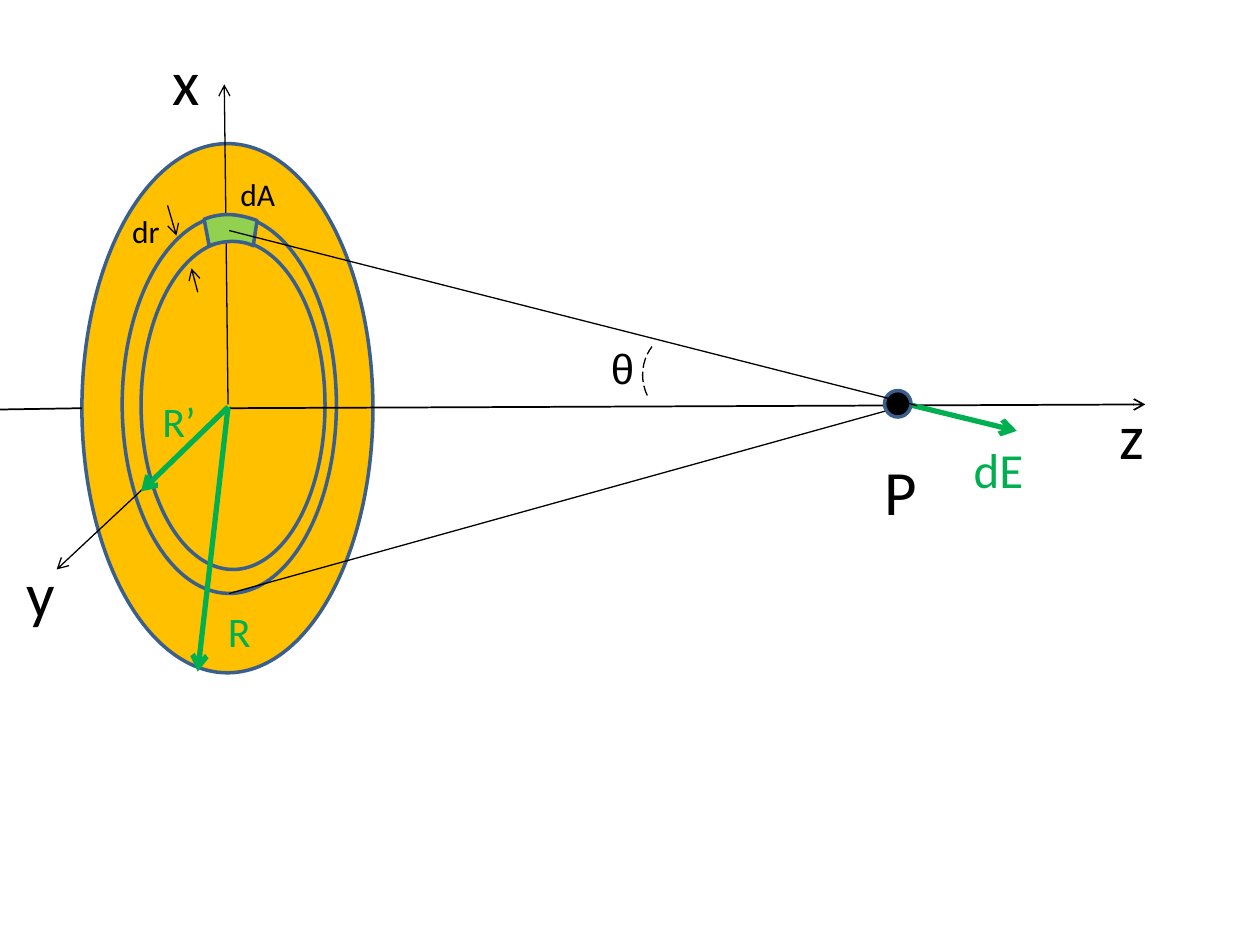
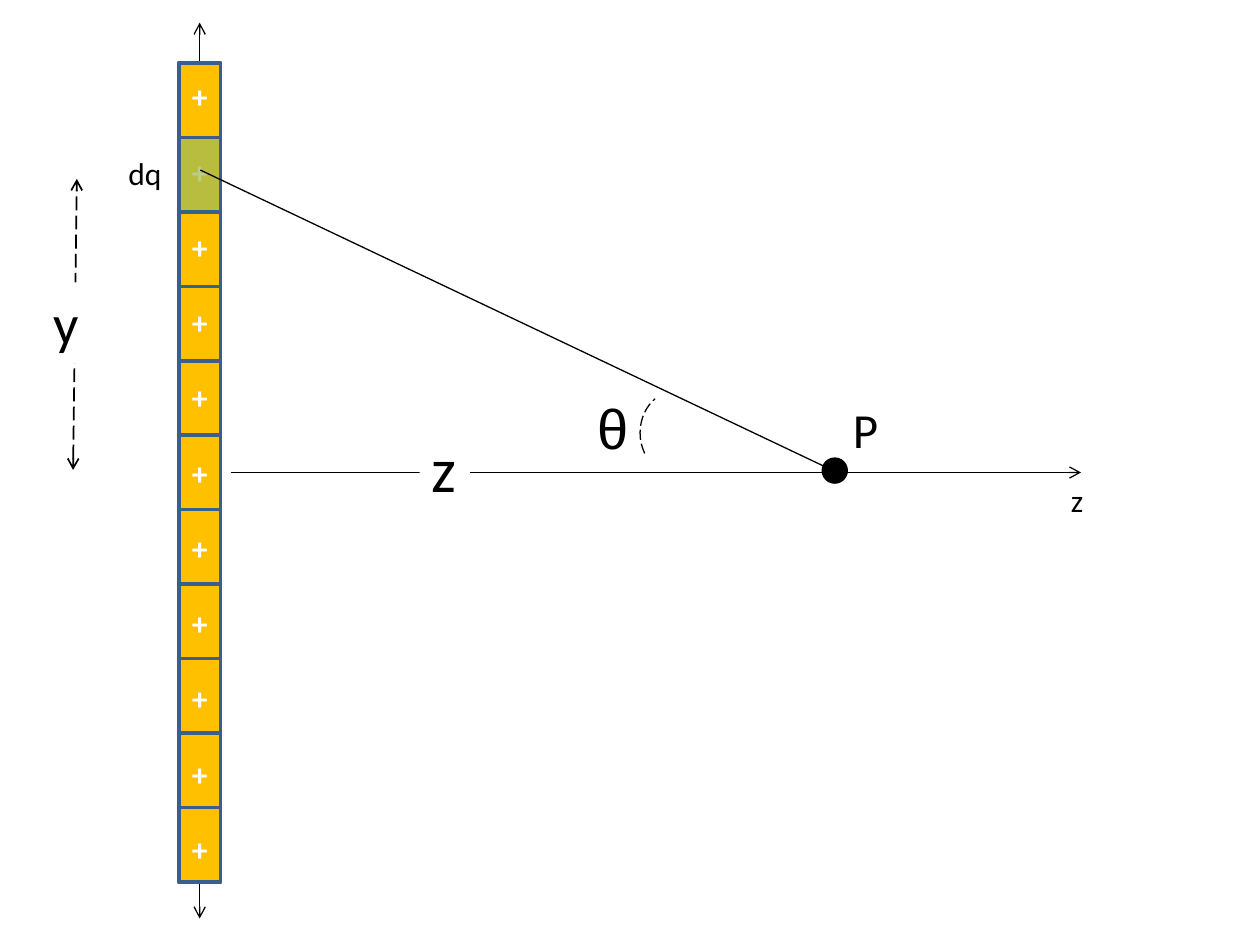
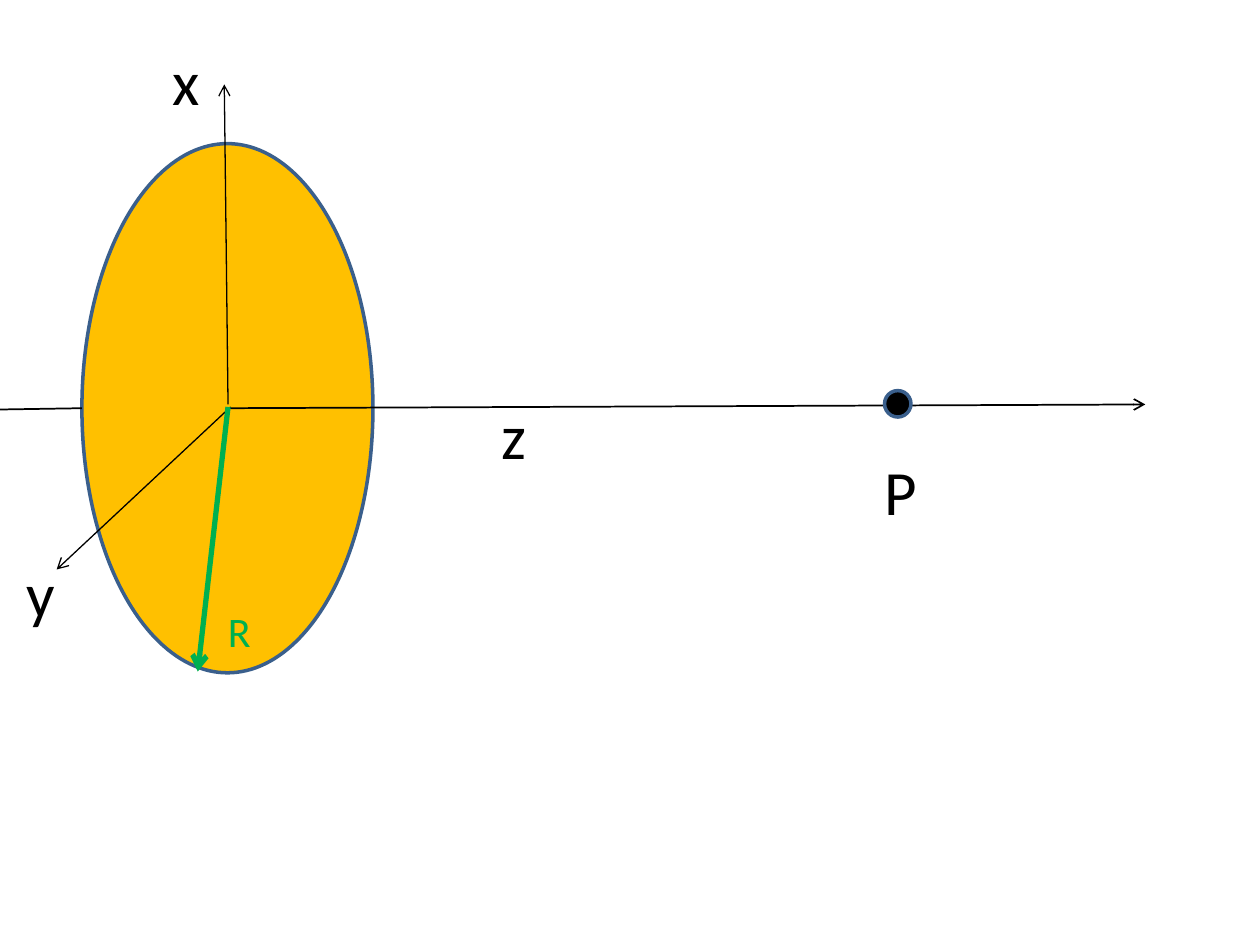
from lxml.etree import SubElement as Sub
from pptx import Presentation
from pptx.dml.color import RGBColor as RGB
from pptx.enum.dml import MSO_LINE as DASH
from pptx.enum.shapes import MSO_CONNECTOR as LINK, MSO_SHAPE as FORM
from pptx.enum.text import MSO_ANCHOR as ANCHOR, PP_ALIGN as ALIGN
from pptx.oxml.ns import qn
from pptx.util import Inches, Pt

BLACK, WHITE = "000000", "FFFFFF"
GOLD, BLUE, GREEN = "FFC000", "3A5F8C", "00B050"
LIME, OLIVE = "92D050", "9BBB59"


def tint(name):
    return RGB.from_string(name)


def style(shape, fill=None, edge=BLUE):
    """Give a shape its fill and outline; None leaves either out."""
    shape.shadow.inherit = False
    if fill:
        shape.fill.solid()
        shape.fill.fore_color.rgb = tint(fill)
    else:
        shape.fill.background()
    if edge:
        shape.line.color.rgb = tint(edge)
        shape.line.width = Pt(2)
    else:
        shape.line.fill.background()
    return shape


def draw(shapes, form, box, fill=None, edge=BLUE):
    return style(shapes.add_shape(form, *map(Inches, box)), fill, edge)


def line(slide, start, end, width=0.75, color=BLACK, heads="", dash=False):
    """Straight line; heads may name "head" and "tail" in that order."""
    link = slide.shapes.add_connector(LINK.STRAIGHT, *map(Inches, (*start, *end)))
    link.line.color.rgb = tint(color)
    link.line.width = Pt(width)
    if dash:
        link.line.dash_style = DASH.LONG_DASH
    for side in heads.split():
        Sub(link.line._ln, qn(f"a:{side}End"), type="arrow")
    Sub(link._element.spPr, qn("a:effectLst"))


def format_runs(part, size, color, font="Calibri", bold=None):
    for run in part.runs:
        run.font.size, run.font.name, run.font.bold = Pt(size), font, bold
        run.font.color.rgb = tint(color)


def label(slide, text, x, y, width, size, color=BLACK, font="Calibri",
          wrap=False, fill=None):
    height = 0.1 + size * 1.22 / 72
    box = slide.shapes.add_textbox(*map(Inches, (x, y, width, height)))
    if fill:
        box.fill.solid()
        box.fill.fore_color.rgb = tint(fill)
    box.text_frame.word_wrap = wrap
    box.text_frame.text = text
    format_runs(box.text_frame.paragraphs[0], size, color, font)


def angle(slide, x, y, size, gap, sweep):
    """Theta and the dashed arc to its right."""
    label(slide, "θ", x, y, 0.58, size, font="Arial", wrap=True)
    arc = draw(slide.shapes, FORM.ARC, (x + gap[0], y + gap[1], 0.58, 0.67), None, BLACK)
    arc.rotation = 180
    arc.adjustments[0], arc.adjustments[1] = 196.27, sweep
    arc.line.width = Pt(0.75)
    arc.line.dash_style = DASH.LONG_DASH


def curve(a, b, c, d, steps=12):
    """Points on a cubic curve."""
    for i in range(steps + 1):
        t = i / steps
        parts = (1 - t) ** 3, 3 * t * (1 - t) ** 2, 3 * t * t * (1 - t), t ** 3
        yield tuple(Inches(sum(k * v for k, v in zip(parts, axis)))
                    for axis in zip(a, b, c, d))


def disc(slide, x, y, z_gap, rings=()):
    """Disc with its axes; x, y is the centre."""
    label(slide, "y", x - 1.7, y + 1.12, 0.43, 36, fill=WHITE)
    for dx, dy, w, h in ((-1.16, -2.09, 2.31, 4.2), *rings):
        draw(slide.shapes, FORM.OVAL, (x + dx, y + dy, w, h), GOLD)
    # Axes
    line(slide, (x - 0.02, y + 0.01), (x + 7.28, y - 0.02), 1, heads="tail")
    line(slide, (x - 1.81, y + 0.02), (x - 1.16, y + 0.01), 1)
    line(slide, (x, y - 0.02), (x - 0.03, y - 2.56), heads="tail")
    line(slide, (x + 0.02, y), (x - 1.36, y + 1.29), heads="tail")
    label(slide, "z", x + z_gap, y - 0.13, 0.4, 36)
    label(slide, "x", x - 0.54, y - 2.94, 0.42, 36, fill=WHITE)
    # Outer radius
    label(slide, "R", x - 0.1, y + 1.53, 0.38, 24, GREEN)
    line(slide, (x, y), (x - 0.24, y + 2.1), 3, GREEN, "tail")


def point(slide, x, y):
    """Field point P; x, y is the corner of its dot."""
    draw(slide.shapes, FORM.OVAL, (x, y, 0.21, 0.21), BLACK)
    label(slide, "P", x - 0.1, y + 0.44, 0.46, 36)


def ring(slide, x, y):
    """Ring width, inner radius and field; x, y is the disc centre."""
    line(slide, (x + 5.37, y - 0.01), (x + 0.01, y + 1.48))
    line(slide, (x + 5.4, y - 0.02), (x + 6.26, y + 0.19), 3, GREEN, "tail")
    label(slide, "dE", x + 5.82, y + 0.21, 0.6, 28, GREEN)
    line(slide, (x, y), (x - 0.69, y + 0.67), 3, GREEN, "tail")
    label(slide, "R’", x - 0.62, y - 0.14, 0.47, 24, GREEN)
    line(slide, (x - 0.48, y - 1.6), (x - 0.41, y - 1.36), heads="tail")
    line(slide, (x - 0.24, y - 0.91), (x - 0.29, y - 1.1), heads="tail")
    label(slide, "dr", x - 0.86, y - 1.6, 0.42, 18)


def patch(slide, x, y):
    """Area element dA; x, y is the disc centre."""
    top = (-0.19, -1.49), (-0.04, -1.55), (0.09, -1.53), (0.23, -1.48)
    base = (0.2, -1.28), (0.09, -1.33), (-0.04, -1.32), (-0.15, -1.28)
    dots = [dot for side in (top, base)
            for dot in curve(*((x + dx, y + dy) for dx, dy in side))]
    pen = slide.shapes.build_freeform(*dots[0])
    pen.add_line_segments(dots[1:], close=True)
    style(pen.convert_to_shape(), LIME)
    label(slide, "dA", x, y - 1.89, 0.48, 18)
    line(slide, (x + 5.47, y - 0.01), (x + 0.01, y - 1.4))


def rod(slide, x, y, width=0.33, height=6.5, count=11, chosen=1):
    """Charged rod cut into equal cells, one of them marked as dq."""
    mid = x + width / 2
    line(slide, (mid, y + height + 0.29), (mid, y - 0.32), heads="head tail")
    bar = draw(slide.shapes, FORM.RECTANGLE, (x, y, width, height), GOLD)
    frame = bar.text_frame
    frame.margin_left = frame.margin_right = 0
    frame.vertical_anchor = ANCHOR.MIDDLE
    frame.text = "\n".join("+" * count)
    for i, part in enumerate(frame.paragraphs):
        part.alignment = ALIGN.CENTER
        part.space_before = Pt(21.4 if i else 0)
        format_runs(part, 18, WHITE, bold=True)
    # Cells
    step = height / count
    cells = slide.shapes.add_group_shape().shapes
    for i in range(count):
        cell = draw(cells, FORM.RECTANGLE, (x, y + i * step, width, step),
                    OLIVE if i == chosen else None)
        if i == chosen:
            shade = cell._element.spPr.find(qn("a:solidFill"))[0]
            Sub(shade, qn("a:alpha"), val="71000")
    label(slide, "dq", x - 0.5, y + 0.67, 0.47, 18)


def height_mark(slide, x, y):
    """Dashed height y; x, y is its upper end."""
    line(slide, (x - 0.03, y + 2.31), (x, y), 1, heads="head tail", dash=True)
    label(slide, "y", x - 0.28, y + 0.82, 0.5, 32, wrap=True, fill=WHITE)


def axis(slide, x, y, length=6.75):
    """Axis z from x, y with the field point and the line of sight to dq."""
    line(slide, (x, y), (x + length, y), heads="tail")
    line(slide, (x + 4.73, y - 0.04), (x - 0.24, y - 2.4))
    label(slide, "z", x + 1.5, y - 0.39, 0.4, 36, fill=WHITE)
    angle(slide, x + 2.81, y - 0.68, 32, (0.44, 0.03), 34.66)
    label(slide, "z", x + 6.57, y + 0.02, 0.3, 18)
    draw(slide.shapes, FORM.OVAL, (x + 4.69, y - 0.12, 0.21, 0.21), BLACK, None)
    label(slide, "P", x + 4.84, y - 0.63, 0.41, 28)


def main():
    deck = Presentation()
    deck.slide_width, deck.slide_height = Inches(10), Inches(7.5)
    first, second, third = (deck.slides.add_slide(deck.slide_layouts[6])
                            for _ in range(3))
    centre, spot = (1.81, 3.23), (7.02, 3.1)

    # Disc with ring and area element
    rings = (-0.84, -1.52, 1.7, 3), (-0.69, -1.32, 1.46, 2.61)
    disc(first, *centre, 6.98, rings)
    angle(first, 4.75, 2.67, 24, (0.35, -0.03), 27.75)
    ring(first, *centre)
    point(first, *spot)
    patch(first, *centre)

    # Charged rod
    rod(second, 1.42, 0.5)
    height_mark(second, 0.61, 1.42)
    axis(second, 1.83, 3.75)

    # Plain disc
    disc(third, *centre, 2.07)
    point(third, *spot)

    deck.save("out.pptx")


if __name__ == "__main__":
    main()
